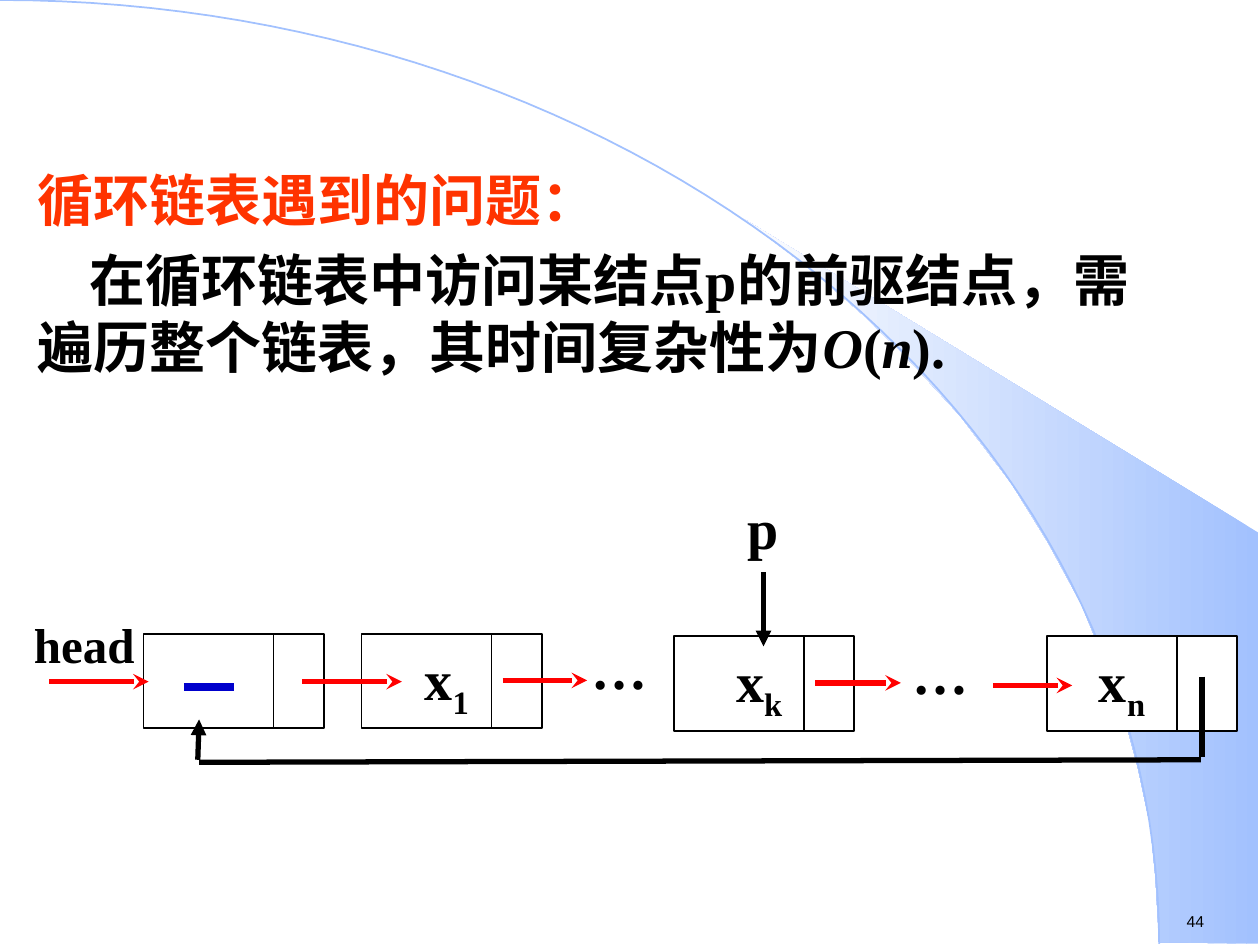
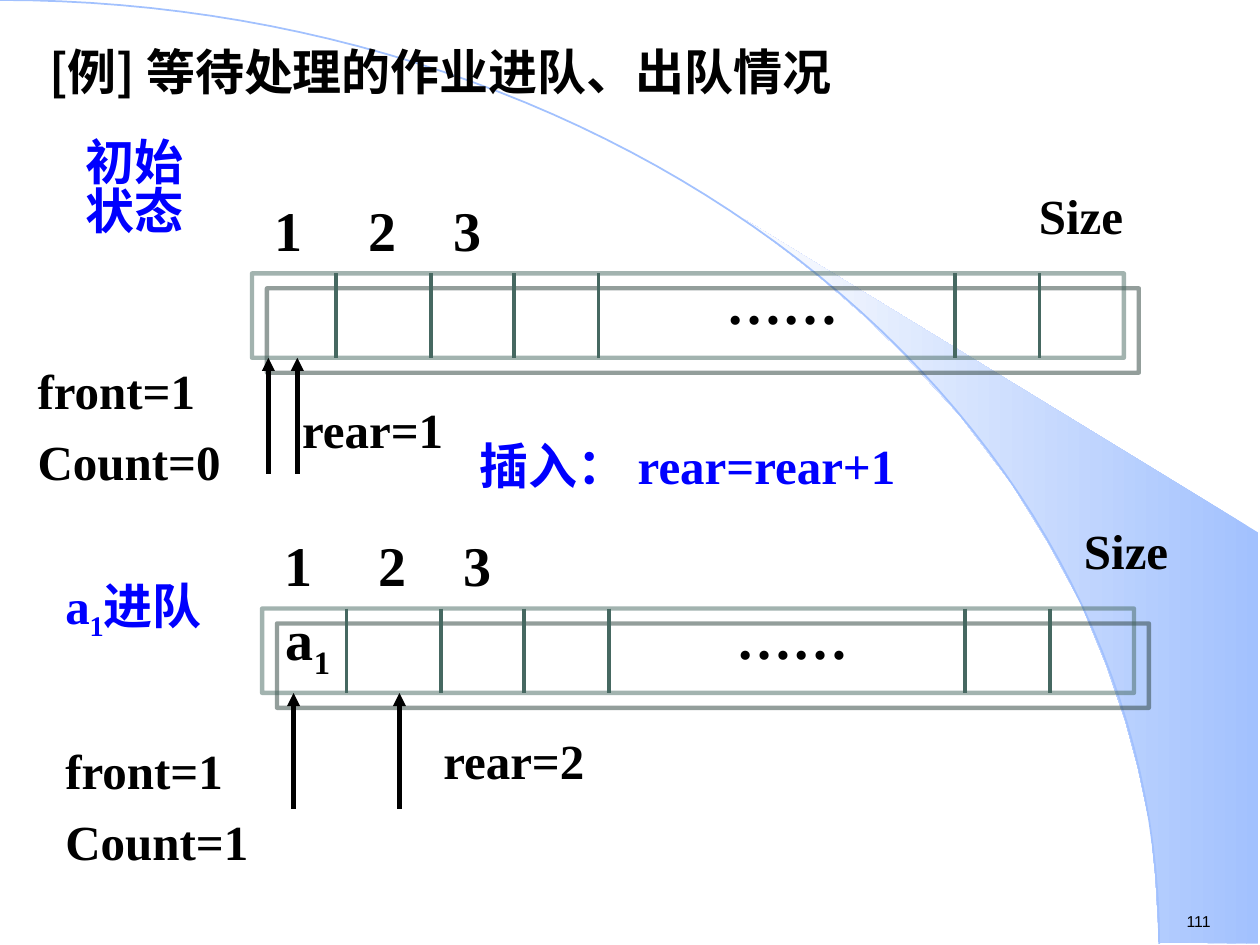
"""Build two data-structure slides: circular linked list and job queue."""
from math import cos, pi, sin

from lxml.etree import SubElement
from pptx import Presentation
from pptx.dml.color import RGBColor
from pptx.enum.shapes import MSO_CONNECTOR, MSO_SHAPE
from pptx.enum.text import MSO_ANCHOR, MSO_AUTO_SIZE, PP_ALIGN
from pptx.oxml.ns import qn
from pptx.util import Inches, Pt

COLORS = {
    "black": "000000", "white": "FFFFFF", "orange": "FF3300", "red": "FF0000",
    "blue": "0000FF", "navy": "0000CC", "sky": "A2C1FE", "pale": "FEFEFE",
    "green": "466861", "shadow": "293E39",
}
SERIF, CJK = "Times New Roman", "Noto Sans CJK SC"
PALETTE = {name: RGBColor.from_string(value) for name, value in COLORS.items()}


def write_text(shape, paragraphs, size=28, color="black", name=SERIF, bold=True,
               margins=(0.1, 0.05), wrap=True, **paragraph_format):
    frame = shape.text_frame
    frame_format = {
        "word_wrap": wrap, "auto_size": MSO_AUTO_SIZE.NONE,
        "vertical_anchor": MSO_ANCHOR.TOP,
        "margin_left": Inches(margins[0]), "margin_right": Inches(margins[0]),
        "margin_top": Inches(margins[1]), "margin_bottom": Inches(margins[1]),
    }
    for attribute, value in frame_format.items():
        setattr(frame, attribute, value)
    for index, runs in enumerate(paragraphs):
        paragraph = frame.add_paragraph() if index else frame.paragraphs[0]
        formats = {"alignment": PP_ALIGN.LEFT, "space_before": Pt(7 if index else 0)}
        for attribute, value in (formats | paragraph_format).items():
            setattr(paragraph, attribute, value)
        for text, style in runs:
            run = paragraph.add_run()
            run.text = text
            font_format = {"name": name, "size": Pt(size), "bold": bold, "italic": style == "italic"}
            for attribute, value in font_format.items():
                setattr(run.font, attribute, value)
            run.font.color.rgb = PALETTE[color]
            properties = run.font._element
            SubElement(properties, qn("a:ea"), typeface=CJK)
            if style == "subscript":
                properties.set("baseline", "-25000")


def add_line(slide, start, end, color="black", width=3, arrowhead=None):
    line = slide.shapes.add_connector(MSO_CONNECTOR.STRAIGHT, *map(Inches, start + end))
    line.line.color.rgb = PALETTE[color]
    line.line.width = Pt(width)
    if arrowhead:
        SubElement(line.line._get_or_add_ln(), qn("a:tailEnd"), type=arrowhead)
    SubElement(line._element.spPr, qn("a:effectLst"))


presentation = Presentation()
presentation.slide_width, presentation.slide_height = Inches(10), Inches(7.5)
layout = presentation.slide_layouts[5]
list_slide, queue_slide = (presentation.slides.add_slide(layout) for _ in range(2))

wedge_points = [
    (9.2, 7.48), (9.99, 7.49), (9.99, 4.23), (5.89, 1.73), (6.24, 1.99), (6.53, 2.22),
    (6.85, 2.5), (7.16, 2.8), (7.62, 3.3), (8.03, 3.84), (8.32, 4.31), (8.58, 4.79),
    (8.78, 5.28), (8.93, 5.72), (9.03, 6.09), (9.13, 6.56), (9.17, 6.96),
]
arc_steps = 60
arc_angles = [pi / 2 * step / arc_steps for step in range(arc_steps + 1)]
arc_points = [(9.2 * sin(angle), 7.49 * (1 - cos(angle))) for angle in arc_angles]
backdrop = []
for points, closed in [(wedge_points, True), (arc_points, False)]:
    emu_points = [tuple(map(Inches, point)) for point in points]
    builder = list_slide.shapes.build_freeform(*emu_points[0])
    builder.add_line_segments(emu_points[1:], close=closed)
    shape = builder.convert_to_shape()
    shape.shadow.inherit = False
    backdrop.append(shape)
wedge, arc = backdrop
wedge.line.fill.background()
wedge.fill.gradient()
wedge.fill.gradient_angle = 180
for stop, position, color in zip(wedge.fill.gradient_stops, (0, 1), ("sky", "pale")):
    stop.position = position
    stop.color.rgb = PALETTE[color]
arc.fill.background()
arc.line.color.rgb = PALETTE["sky"]
arc.line.width = Pt(1)
for index, shape in enumerate(backdrop):
    layout.shapes.element.insert(2 + index, shape.element)

headings = [
    (list_slide, "44", (0.2, 1.26, 9.21, 0.7), "循环链表遇到的问题：",
     {"size": 32, "color": "orange"}),
    (queue_slide, "111", (0.29, 0.28, 9.44, 0.7), "[例] 等待处理的作业进队、出队情况", {"name": CJK}),
]
for slide, number, box, heading, style in headings:
    title = slide.shapes.title
    for attribute, value in zip(("left", "top", "width", "height"), box):
        setattr(title, attribute, Inches(value))
    write_text(title, [[(heading, "")]], **style)
    number_box = slide.shapes.add_textbox(*map(Inches, (9.32, 7.19, 0.6, 0.25)))
    write_text(number_box, [[(number, "")]], 9, name="Arial", bold=False, wrap=False)

body = list_slide.shapes.add_textbox(*map(Inches, (0.2, 1.9, 9.21, 1.5)))
write_text(body, [[
    ("在循环链表中访问某结点p的前驱结点，需遍历整个链表，其时间复杂性为", ""),
    ("O", "italic"), ("(", ""), ("n", "italic"), (").", ""),
]], 32)
body.text_frame.paragraphs[0]._p.get_or_add_pPr().set("indent", str(Inches(0.41)))

nodes = [
    (1.14, 5.03, 1.43, None, 0), (2.87, 5.03, 1.43, "1", 0.16),
    (5.35, 5.05, 1.43, "k", 0.16), (8.31, 5.05, 1.51, "n", 0.08),
]
for left, top, width, subscript, label_shift in nodes:
    node = list_slide.shapes.add_shape(
        MSO_SHAPE.RECTANGLE, *map(Inches, (left, top, width, 0.75)))
    node.shadow.inherit = False
    node.fill.solid()
    node.fill.fore_color.rgb = PALETTE["white"]
    node.line.color.rgb = PALETTE["black"]
    node.line.width = Pt(1)
    add_line(list_slide, (left + 1.03, top), (left + 1.03, top + 0.75), width=1)
    if subscript:
        label = list_slide.shapes.add_textbox(
            *map(Inches, (left + label_shift, top + 0.09, 1.03, 0.59)))
        write_text(label, [[("x", ""), (subscript, "subscript")]], 32,
                   alignment=PP_ALIGN.CENTER, line_spacing=0.8)

list_labels = [
    ("head", (0.27, 4.97, 0.87, 0.37), 28, PP_ALIGN.LEFT, 0.8),
    ("…", (4.65, 5.17, 0.53, 0.37), 32, PP_ALIGN.CENTER, 0.7),
    ("…", (7.2, 5.21, 0.53, 0.37), 32, PP_ALIGN.CENTER, 0.7),
    ("p", (5.79, 4.06, 0.53, 0.37), 32, PP_ALIGN.CENTER, 0.7),
]
for text, box, size, alignment, spacing in list_labels:
    label = list_slide.shapes.add_textbox(*map(Inches, box))
    write_text(label, [[(text, "")]], size, margins=(0, 0),
               alignment=alignment, line_spacing=spacing)

next_links = [(0.39, 1.18, 5.41), (2.4, 3.19, 5.41), (3.99, 4.66, 5.4),
              (6.47, 7.15, 5.42), (7.88, 8.51, 5.44)]
for start, end, top in next_links:
    add_line(list_slide, (start, top), (end, top), "red", arrowhead="stealth")
add_line(list_slide, (1.46, 5.45), (1.86, 5.45), "navy", 4.5)
add_line(list_slide, (9.54, 5.37), (9.54, 6.01))
add_line(list_slide, (9.53, 6.03), (1.58, 6.05))
add_line(list_slide, (1.57, 6.03), (1.58, 5.71), arrowhead="triangle")
add_line(list_slide, (6.06, 4.54), (6.06, 5.13), arrowhead="triangle")

for left, top, pointers in [(2, 2.17, (2.13, 2.36)), (2.08, 4.83, (2.33, 3.17))]:
    queue = queue_slide.shapes.add_shape(
        MSO_SHAPE.RECTANGLE, *map(Inches, (left, top, 6.92, 0.67)))
    queue.fill.background()
    queue.line.color.rgb = PALETTE["green"]
    queue.line.width = Pt(2.5)
    line_color = queue.line._get_or_add_ln().find(".//" + qn("a:srgbClr"))
    SubElement(line_color, qn("a:alpha"), val="50000")
    queue.shadow.inherit = False
    effects = queue._element.spPr.find(qn("a:effectLst"))
    shadow = SubElement(effects, qn("a:outerShdw"), dist=str(Pt(12.1)), dir="2700000",
                        algn="ctr", rotWithShape="0")
    SubElement(shadow, qn("a:srgbClr"), val=COLORS["shadow"])
    for offset in (0.67, 1.42, 2.08, 2.75, 5.58, 6.25):
        add_line(queue_slide, (left + offset, top), (left + offset, top + 0.67), "green", 2.25)
    for text, offset, rise, width in [("1", 0.08, 0.67, 0.5), ("2", 0.83, 0.67, 0.5),
                                      ("3", 1.5, 0.67, 0.5), ("……", 3.67, 0.09, 1.25)]:
        label = queue_slide.shapes.add_textbox(
            *map(Inches, (left + offset, top - rise, width, 0.64)))
        write_text(label, [[(text, "")]], 32)
    for pointer in pointers:
        add_line(queue_slide, (pointer, top + 1.59), (pointer, top + 0.67), width=2.5,
                 arrowhead="triangle")

queue_labels = [
    ((0.58, 1.08, 1, 1.04), [[("初始状态", "")]], {"color": "blue", "line_spacing": 0.82}),
    ((7.33, 1.42, 2.5, 0.57), [[("Size", "")]], {"alignment": PP_ALIGN.CENTER}),
    ((0.2, 2.81, 2.25, 1.13), [[("front=1", "")], [("Count=0", "")]], {}),
    ((2.3, 3.12, 1.92, 0.57), [[("rear=1", "")]], {}),
    ((3.71, 3.41, 3.85, 0.57), [[("插入： rear=rear+1", "")]], {"color": "blue"}),
    ((7.32, 4.08, 2.05, 0.57), [[("Size", "")]], {"alignment": PP_ALIGN.RIGHT}),
    ((0.42, 4.52, 1.67, 0.63), [[("a", ""), ("1", "subscript"), ("进队", "")]], {"color": "blue"}),
    ((2.17, 4.75, 0.83, 0.71), [[("a", ""), ("1", "subscript")]], {"size": 32}),
    ((0.42, 5.83, 2.25, 1.13), [[("front=1", "")], [("Count=1", "")]], {}),
    ((3.42, 5.75, 1.92, 0.57), [[("rear=2", "")]], {}),
]
for box, paragraphs, style in queue_labels:
    write_text(queue_slide.shapes.add_textbox(*map(Inches, box)), paragraphs, **style)

presentation.save("out.pptx")
